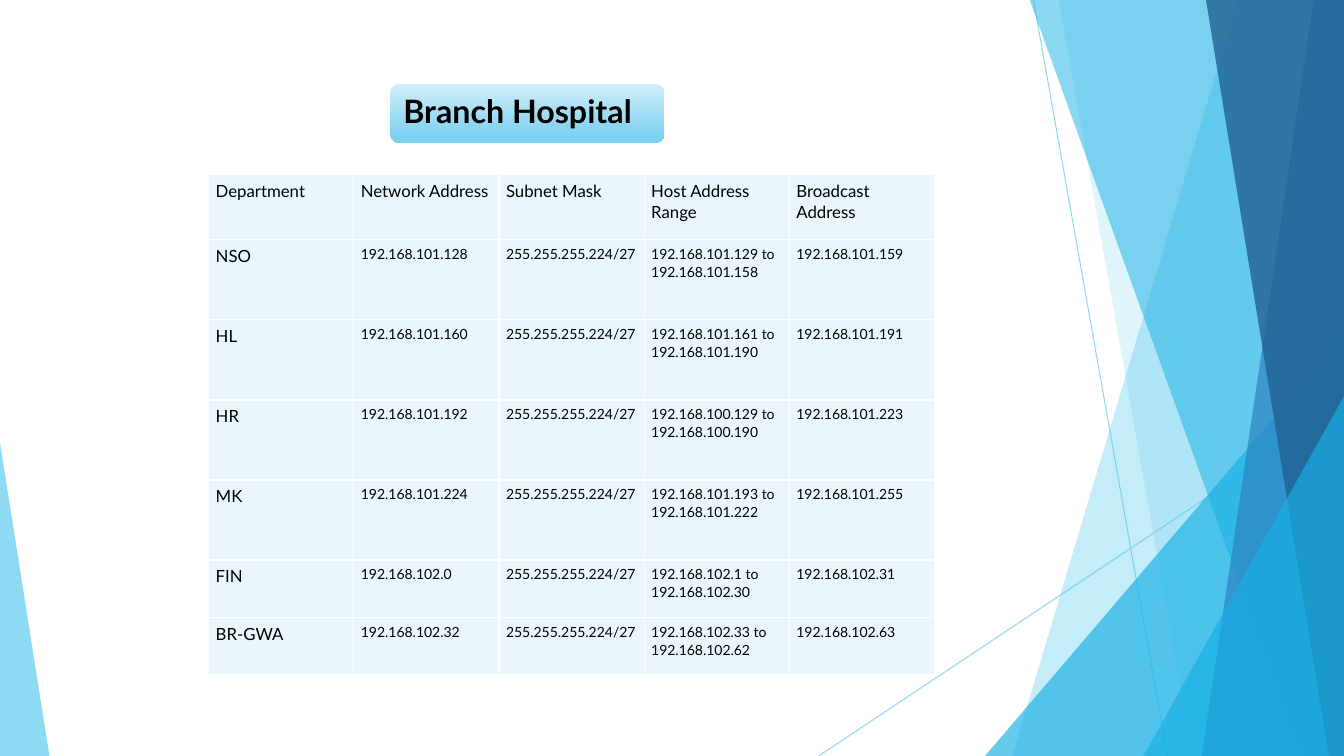
from lxml.etree import SubElement
from pptx import Presentation
from pptx.dml.color import RGBColor
from pptx.enum.shapes import MSO_CONNECTOR, MSO_SHAPE
from pptx.enum.text import MSO_ANCHOR, MSO_AUTO_SIZE, PP_ALIGN
from pptx.oxml import parse_xml
from pptx.oxml.ns import nsdecls, qn
from pptx.util import Inches, Pt

WIDTH, HEIGHT = 13.33, 7.5
SKY, CYAN, BLUE, NAVY = "5FCBEF", "17B0E4", "2E83C3", "226292"

HEADINGS = ["Department", "Network Address", "Subnet Mask",
            "Host Address Range", "Broadcast Address"]
MASK = "255.255.255.224/27"
# department, network, first host, last host, broadcast
SUBNETS = [
    ("NSO", "101.128", "101.129", "101.158", "101.159"),
    ("HL", "101.160", "101.161", "101.190", "101.191"),
    ("HR", "101.192", "100.129", "100.190", "101.223"),
    ("MK", "101.224", "101.193", "101.222", "101.255"),
    ("FIN", "102.0", "102.1", "102.30", "102.31"),
    ("BR-GWA", "102.32", "102.33", "102.62", "102.63"),
]
ROW_HEIGHTS = [0.65] + [0.794] * 4 + [0.57] * 2


def colour(code):
    return RGBColor.from_string(code)


def set_opacity(shape, percent):
    """Make the solid colour in the fill or line of a shape translucent."""
    for tint in shape.element.spPr.iter(qn("a:srgbClr")):
        SubElement(tint, qn("a:alpha"), val=str(percent * 1000))


def subnet_row(department, *endings):
    network, first, last, broadcast = (f"192.168.{ending}" for ending in endings)
    return [department, network, MASK, f"{first} to\n{last}", broadcast]


class SlideBuilder:
    font = "Lato"
    ink = "000000"
    cell_fill = "EAF6FC"
    border = "FFFFFF"

    def __init__(self, page):
        self.page = page
        self.shapes = page.shapes

    def paint(self, shape, code, opacity):
        shape.shadow.inherit = False
        shape.fill.solid()
        shape.fill.fore_color.rgb = colour(code)
        shape.line.fill.background()
        set_opacity(shape, opacity)

    def line(self, start, end):
        points = [Inches(value) for value in start + end]
        connector = self.shapes.add_connector(MSO_CONNECTOR.STRAIGHT, *points)
        connector.line.color.rgb = colour(SKY)
        connector.line.width = Pt(0.75)
        set_opacity(connector, 70)
        SubElement(connector.element.spPr, qn("a:effectLst"))

    def ribbon(self, top_x, bottom_x, code, opacity):
        """Fill from a slanted left side to the right edge of the slide."""
        corners = [(top_x, -0.01), (WIDTH, -0.01), (WIDTH, HEIGHT), (bottom_x, HEIGHT)]
        points = [(Inches(x), Inches(y)) for x, y in corners]
        outline = self.shapes.build_freeform(*points[0])
        outline.add_line_segments(points[1:])
        self.paint(outline.convert_to_shape(), code, opacity)

    def triangle(self, left, top, width, apex, code, opacity):
        """Stand a triangle on the bottom edge; apex runs from 0 (left) to 1."""
        shape = self.shapes.add_shape(
            MSO_SHAPE.ISOSCELES_TRIANGLE, Inches(left), Inches(top),
            Inches(width), Inches(HEIGHT - top))
        shape.adjustments[0] = apex
        self.paint(shape, code, opacity)

    def format_text(self, frame, size, spacing, bold=False):
        for para in frame.paragraphs:
            para.line_spacing = spacing
            para.alignment = PP_ALIGN.LEFT
            for span in para.runs:
                span.font.name = self.font
                span.font.size = Pt(size)
                span.font.bold = bold
                span.font.color.rgb = colour(self.ink)

    def title(self, text):
        panel = self.shapes.add_shape(MSO_SHAPE.ROUNDED_RECTANGLE, Inches(3.87),
                                      Inches(0.83), Inches(2.72), Inches(0.59))
        panel.shadow.inherit = False
        panel.line.fill.background()
        panel.fill.gradient()
        panel.fill.gradient_angle = 270
        for stop, (position, code) in zip(panel.fill.gradient_stops,
                                          [(0, "D4EEF9"), (0.88, "7DD1F1")]):
            stop.position = position
            stop.color.rgb = colour(code)

        box = self.shapes.title
        box.left, box.top = Inches(3.9), Inches(0.86)
        box.width, box.height = Inches(2.66), Inches(0.53)
        panel.element.addnext(box.element)
        frame = box.text_frame
        frame.text = text
        frame.word_wrap = True
        frame.auto_size = MSO_AUTO_SIZE.NONE
        frame.vertical_anchor = MSO_ANCHOR.MIDDLE
        frame.margin_left = frame.margin_right = Inches(0.1)
        frame.margin_top = frame.margin_bottom = Inches(0.1)
        self.format_text(frame, 23, 0.9, bold=True)

    def cell(self, cell, text, size):
        cell.text_frame.text = text
        cell.margin_left = cell.margin_right = Inches(0.07)
        cell.margin_top = cell.margin_bottom = Inches(0.05)
        self.format_text(cell.text_frame, size, 1.07)
        cell.fill.solid()
        cell.fill.fore_color.rgb = colour(self.cell_fill)
        properties = cell._tc.get_or_add_tcPr()
        for index, side in enumerate(("lnL", "lnR", "lnT", "lnB")):
            properties.insert(index, parse_xml(
                f'<a:{side} {nsdecls("a")} w="12700"><a:solidFill>'
                f'<a:srgbClr val="{self.border}"/></a:solidFill></a:{side}>'))

    def table(self, rows, heights):
        frame = self.shapes.add_table(len(rows), len(rows[0]), Inches(2.07),
                                      Inches(1.73), Inches(7.2), Inches(sum(heights)))
        table = frame.table
        table.first_row = table.horz_banding = False
        for row_index, (row, height) in enumerate(zip(rows, heights)):
            table.rows[row_index].height = Inches(height)
            for column_index, text in enumerate(row):
                size = 12 if row_index == 0 or column_index == 0 else 10
                self.cell(table.cell(row_index, column_index), text, size)


def main():
    deck = Presentation()
    deck.slide_width, deck.slide_height = Inches(WIDTH), Inches(HEIGHT)
    title_only = deck.slide_layouts[5]
    builder = SlideBuilder(deck.slides.add_slide(title_only))

    builder.line((10.25, 0), (11.58, HEIGHT))
    builder.line((WIDTH, 4.03), (8.12, HEIGHT))
    builder.ribbon(12.28, 10.04, SKY, 36)
    builder.ribbon(10.5, 11.83, SKY, 20)
    builder.triangle(9.77, 3.33, 3.56, 1, CYAN, 66)
    builder.ribbon(10.21, 12.91, CYAN, 50)
    builder.ribbon(13.03, 11.92, BLUE, 70)
    builder.ribbon(11.96, 13.18, NAVY, 80)
    builder.triangle(11.34, 3.93, 1.99, 1, CYAN, 66)
    builder.triangle(0, 4.39, 0.49, 0, SKY, 70)

    builder.table([HEADINGS] + [subnet_row(*subnet) for subnet in SUBNETS], ROW_HEIGHTS)
    builder.title("Branch Hospital")
    deck.save("out.pptx")


if __name__ == "__main__":
    main()
